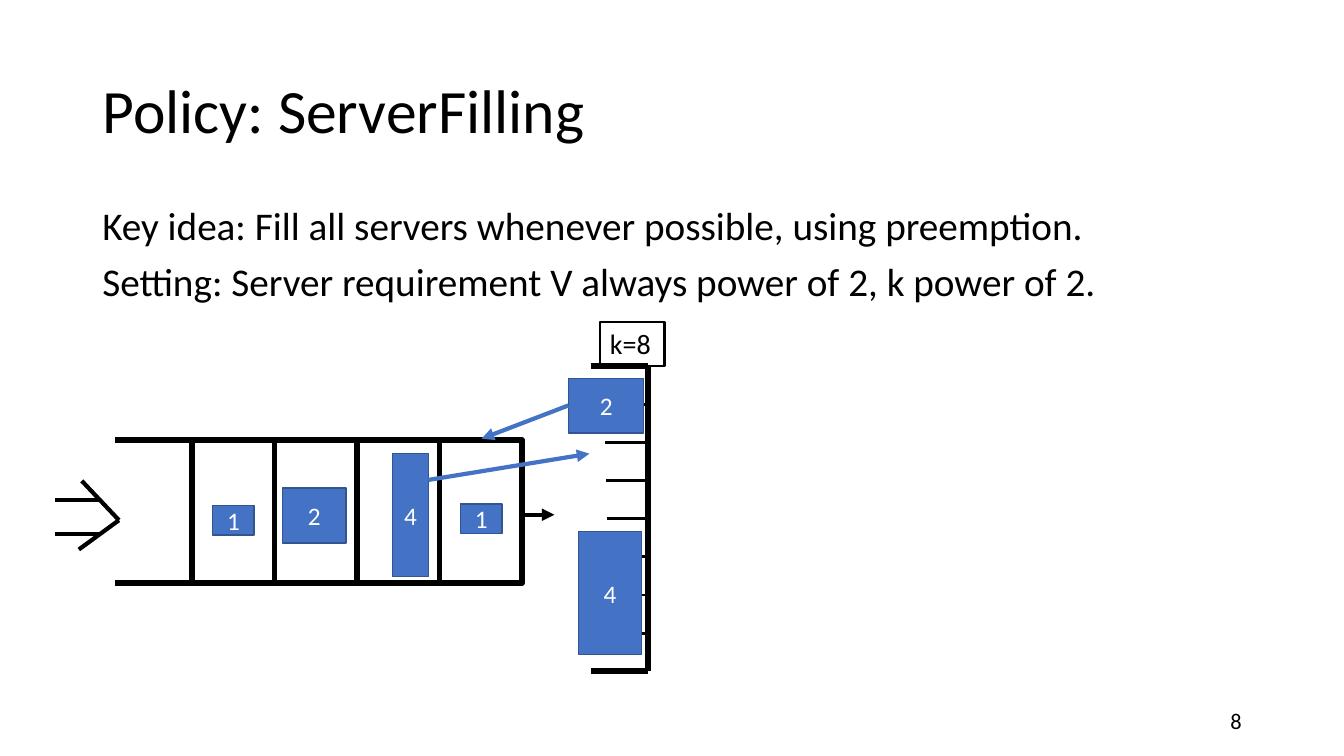
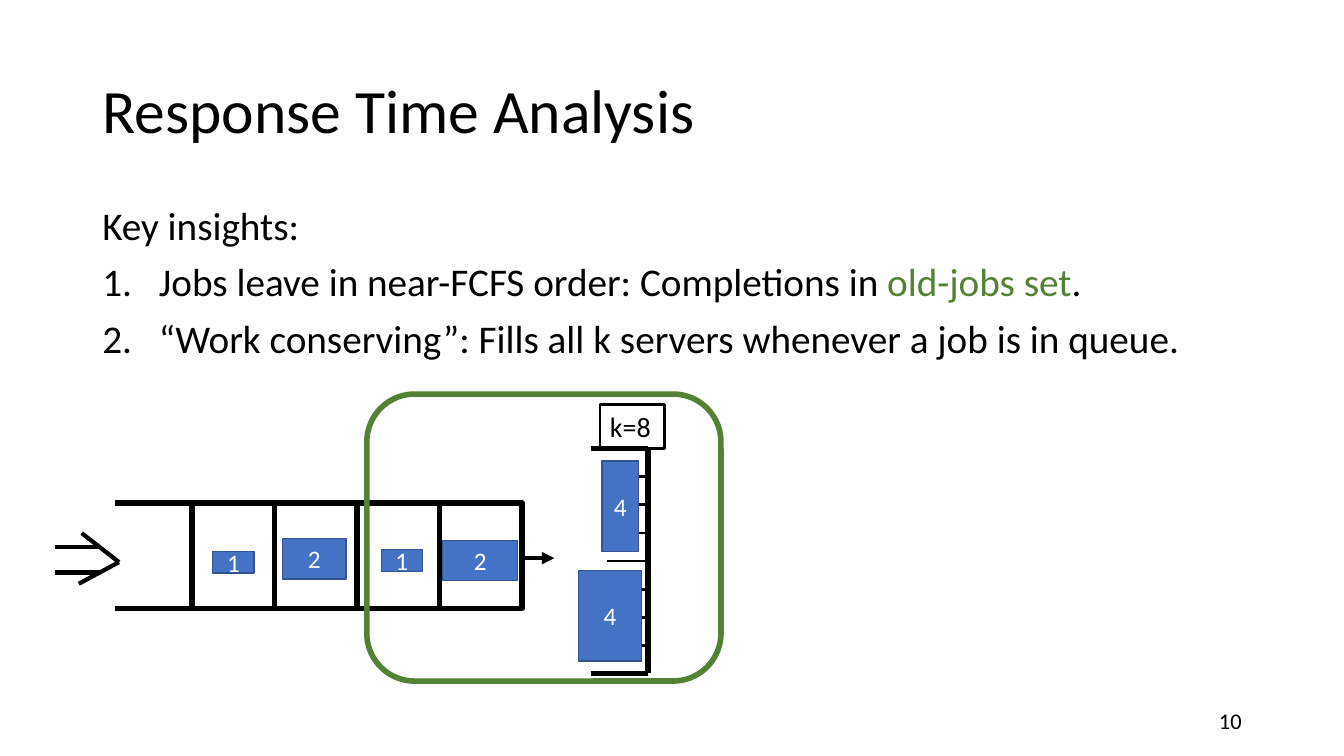
from collections import namedtuple

from lxml.etree import SubElement
from pptx import Presentation
from pptx.dml.color import RGBColor
from pptx.enum.shapes import MSO_CONNECTOR as Connector, MSO_SHAPE as Shape
from pptx.enum.text import MSO_ANCHOR as Anchor, MSO_AUTO_SIZE as AutoSize, PP_ALIGN as Align
from pptx.oxml.ns import qn
from pptx.util import Pt

FONT = "Calibri"
BLACK, WHITE = "000000", "FFFFFF"
BLUE, DARK_BLUE, GREEN = "4472C4", "325491", "548235"
SERVERS = 8
CELLS = 4
CELL_WIDTH = 59
JOB_HEIGHTS = {1: 0.097, 2: 0.18, 4: 0.403}

Box = namedtuple("Box", "left top width height")
Job = namedtuple("Job", "size left middle width")

TITLE_BOX = Box(66, 29, 828, 104)
BODY_BOX = Box(66, 144, 828, 343)
NUMBER_BOX = Box(678, 500, 216, 29)
SHARED_JOBS = [Job(4, 374.4, 0.744, 44.8), Job(2, 162.7, 0.49, 45.5), Job(1, 113, 0.505, 29.5)]


def color(value):
    """Turn a hex string into a colour."""
    return RGBColor.from_string(value)


def place(shape, box):
    """Move and size a shape to a box in points."""
    shape.left, shape.top, shape.width, shape.height = (Pt(length) for length in box)


def number_paragraph(paragraph, indent=40.5):
    """Give a paragraph an automatic number with a hanging indent."""
    properties = paragraph._p.get_or_add_pPr()
    properties.set("marL", str(Pt(indent)))
    properties.set("indent", str(-Pt(indent)))
    SubElement(properties, qn("a:buFont"), typeface="+mj-lt")
    SubElement(properties, qn("a:buAutoNum"), type="arabicPeriod")


def write(shape, *paragraphs, size=18, fill=BLACK, align=Align.LEFT, anchor=Anchor.TOP,
          line_spacing=None, space_before=0, numbered_from=None):
    """Write paragraphs, each a string or a list of (text, colour) runs."""
    frame = shape.text_frame
    frame.word_wrap = True
    frame.auto_size = AutoSize.NONE
    frame.vertical_anchor = anchor
    for index, content in enumerate(paragraphs):
        paragraph = frame.add_paragraph() if index else frame.paragraphs[0]
        if numbered_from is not None and index >= numbered_from:
            number_paragraph(paragraph)
        paragraph.alignment = align
        paragraph.line_spacing = line_spacing
        paragraph.space_before = Pt(space_before if index else 0)
        for text, run_color in [(content, fill)] if isinstance(content, str) else content:
            run = paragraph.add_run()
            run.text = text
            run.font.name = FONT
            run.font.size = Pt(size)
            run.font.color.rgb = color(run_color)


def add_text(slide, box, *paragraphs, **text_format):
    """Add a text box."""
    shape = slide.shapes.add_textbox(*(Pt(length) for length in box))
    write(shape, *paragraphs, **text_format)
    return shape


def add_block(slide, box, line, weight, fill=None, kind=Shape.RECTANGLE):
    """Add an outlined preset shape, filled or hollow."""
    shape = slide.shapes.add_shape(kind, *(Pt(length) for length in box))
    shape.shadow.inherit = False
    if fill:
        shape.fill.solid()
        shape.fill.fore_color.rgb = color(fill)
    else:
        shape.fill.background()
    shape.line.color.rgb = color(line)
    shape.line.width = Pt(weight)
    return shape


def add_line(slide, box, start, end, weight, line=BLACK, arrow=False):
    """Draw a line between points given as x in points and y as a share of the box height."""
    points = [Pt(length) for x, y in (start, end)
              for length in (box.left + x, box.top + y * box.height)]
    connector = slide.shapes.add_connector(Connector.STRAIGHT, *points)
    connector.line.color.rgb = color(line)
    connector.line.width = Pt(weight)
    if arrow:
        SubElement(connector.line._get_or_add_ln(), qn("a:tailEnd"), type="triangle")
    SubElement(connector._element.spPr, qn("a:effectLst"))


def add_arrivals(slide, box):
    """Draw the open arrow of arriving jobs."""
    for start, end in [((19.4, 0.376), (46, 0.505)), ((17.3, 0.601), (46, 0.505)),
                       ((0, 0.439), (32.4, 0.439)), ((0, 0.551), (32.4, 0.551))]:
        add_line(slide, box, start, end, 3)


def add_queue(slide, box):
    """Draw the queue with its cells and the arrow to the servers."""
    top, bottom, first_cell = 0.243, 0.711, 98
    end = first_cell + CELLS * CELL_WIDTH
    for y in (top, bottom):
        add_line(slide, box, (43.2, y), (end, y), 4)
    for index in reversed(range(CELLS)):
        cell = Box(box.left + first_cell + index * CELL_WIDTH, box.top + top * box.height,
                   CELL_WIDTH, (bottom - top) * box.height)
        add_block(slide, cell, BLACK, 4, WHITE)
    add_line(slide, box, (end, 0.487), (end + 23, 0.487), 3, arrow=True)


def add_servers(slide, box):
    """Draw the server rack with a tick between servers and its label."""
    left, right = 383, 424
    for y in (0, 1):
        add_line(slide, box, (left, y), (right, y), 4)
    add_line(slide, box, (right, 0), (right, 1), 4)
    for index in range(1, SERVERS):
        x = 392.5 + 0.5 * index
        add_line(slide, box, (x, index / SERVERS), (x + 29.5, index / SERVERS), 2)
    label = add_block(slide, Box(box.left + 389.5, box.top - 31.5, 46, 31.5), BLACK, 2)
    write(label, f"k={SERVERS}", size=20)


def add_job(slide, box, job):
    """Draw a job, centred on its share of the box height."""
    height = JOB_HEIGHTS[job.size] * box.height
    top = box.top + job.middle * box.height - height / 2
    block = add_block(slide, Box(box.left + job.left, top, job.width, height), DARK_BLUE, 1, BLUE)
    write(block, str(job.size), fill=WHITE, align=Align.CENTER, anchor=Anchor.MIDDLE)


def add_system(slide, box, jobs):
    """Draw arrivals, queue, servers and jobs in a box."""
    add_queue(slide, box)
    add_arrivals(slide, box)
    add_servers(slide, box)
    for job in SHARED_JOBS + jobs:
        add_job(slide, box, job)


def add_slide(presentation, title, number, *body, numbered_from=None):
    """Add a slide with title, body text and page number."""
    slide = presentation.slides.add_slide(presentation.slide_layouts[5])
    place(slide.shapes.title, TITLE_BOX)
    write(slide.shapes.title, title, size=44, anchor=Anchor.MIDDLE, line_spacing=0.9)
    add_text(slide, BODY_BOX, *body, size=28, line_spacing=0.9, space_before=10,
             numbered_from=numbered_from)
    add_text(slide, NUMBER_BOX, str(number), size=16, align=Align.RIGHT, anchor=Anchor.MIDDLE)
    return slide


def add_policy_slide(presentation):
    """Build the slide on the policy, with the preemption swap."""
    slide = add_slide(presentation, "Policy: ServerFilling", 8,
                      "Key idea: Fill all servers whenever possible, using preemption.",
                      "Setting: Server requirement V always power of 2, k power of 2.")
    box = Box(39, 261.5, 426, 218)
    add_system(slide, box, [Job(2, 367.2, 0.13, 53.5), Job(1, 290, 0.5, 29.5),
                            Job(4, 241.2, 0.488, 26)])
    for start, end in [((267, 0.373), (382, 0.287)), ((367, 0.129), (305, 0.238))]:
        add_line(slide, box, start, end, 3, BLUE, arrow=True)


def add_analysis_slide(presentation):
    """Build the slide on response time, with the old-jobs set outlined."""
    slide = add_slide(presentation, "Response Time Analysis", 10,
                      "Key insights:",
                      [("Jobs leave in near-FCFS order: Completions in ", BLACK),
                       ("old-jobs set", GREEN), (".", BLACK)],
                      "“Work conserving”: Fills all k servers whenever a job is in queue.",
                      numbered_from=1)
    box = Box(39, 320.5, 426, 160.5)
    add_system(slide, box, [Job(2, 277.2, 0.498, 53.5), Job(1, 233.3, 0.498, 29.5),
                            Job(4, 391, 0.256, 26)])
    add_block(slide, Box(box.left + 223, box.top - 39, 253, 205), GREEN, 4,
              kind=Shape.ROUNDED_RECTANGLE)


def main():
    """Build and save the presentation."""
    presentation = Presentation()
    presentation.slide_width, presentation.slide_height = Pt(960), Pt(540)
    add_policy_slide(presentation)
    add_analysis_slide(presentation)
    presentation.save("out.pptx")


if __name__ == "__main__":
    main()
